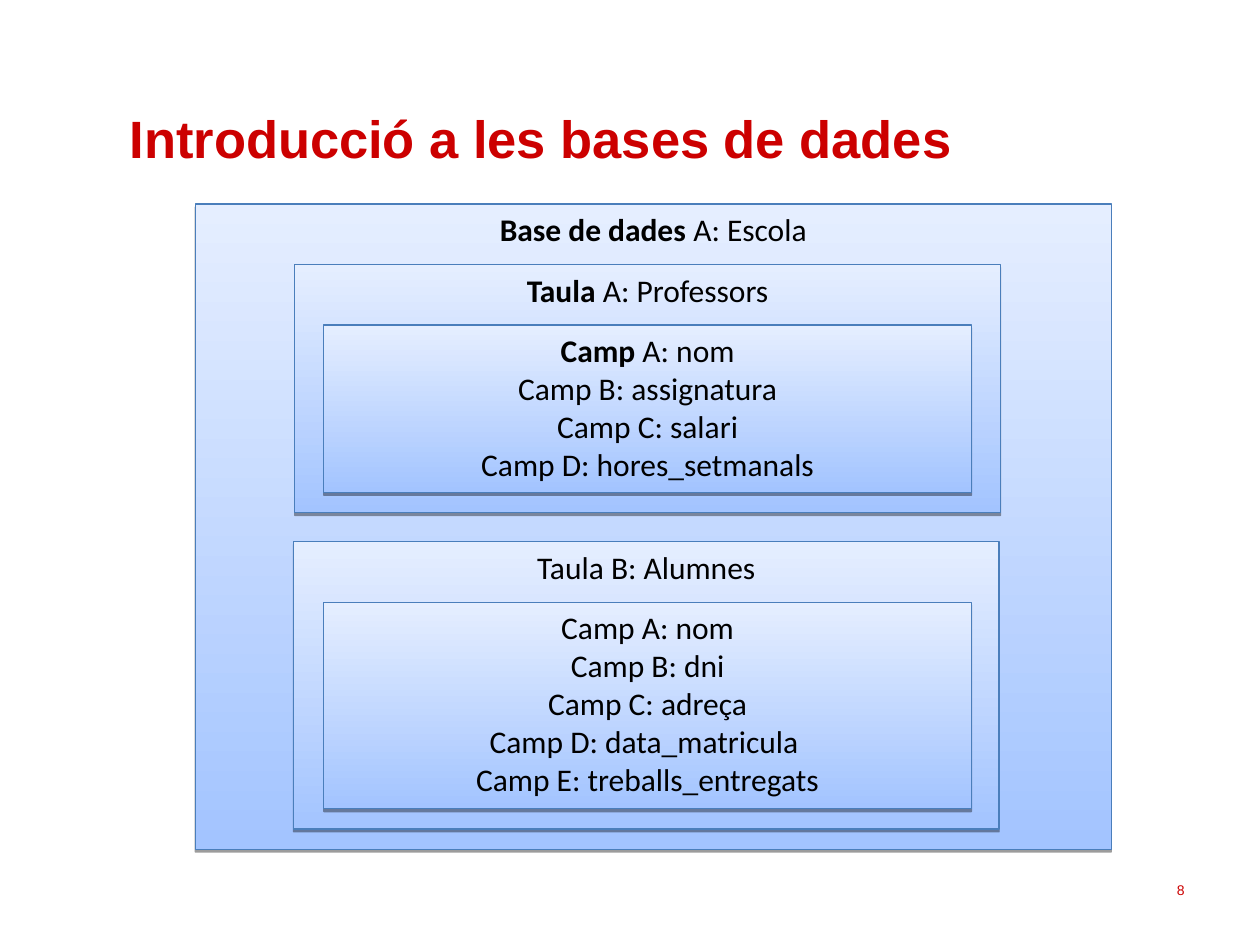
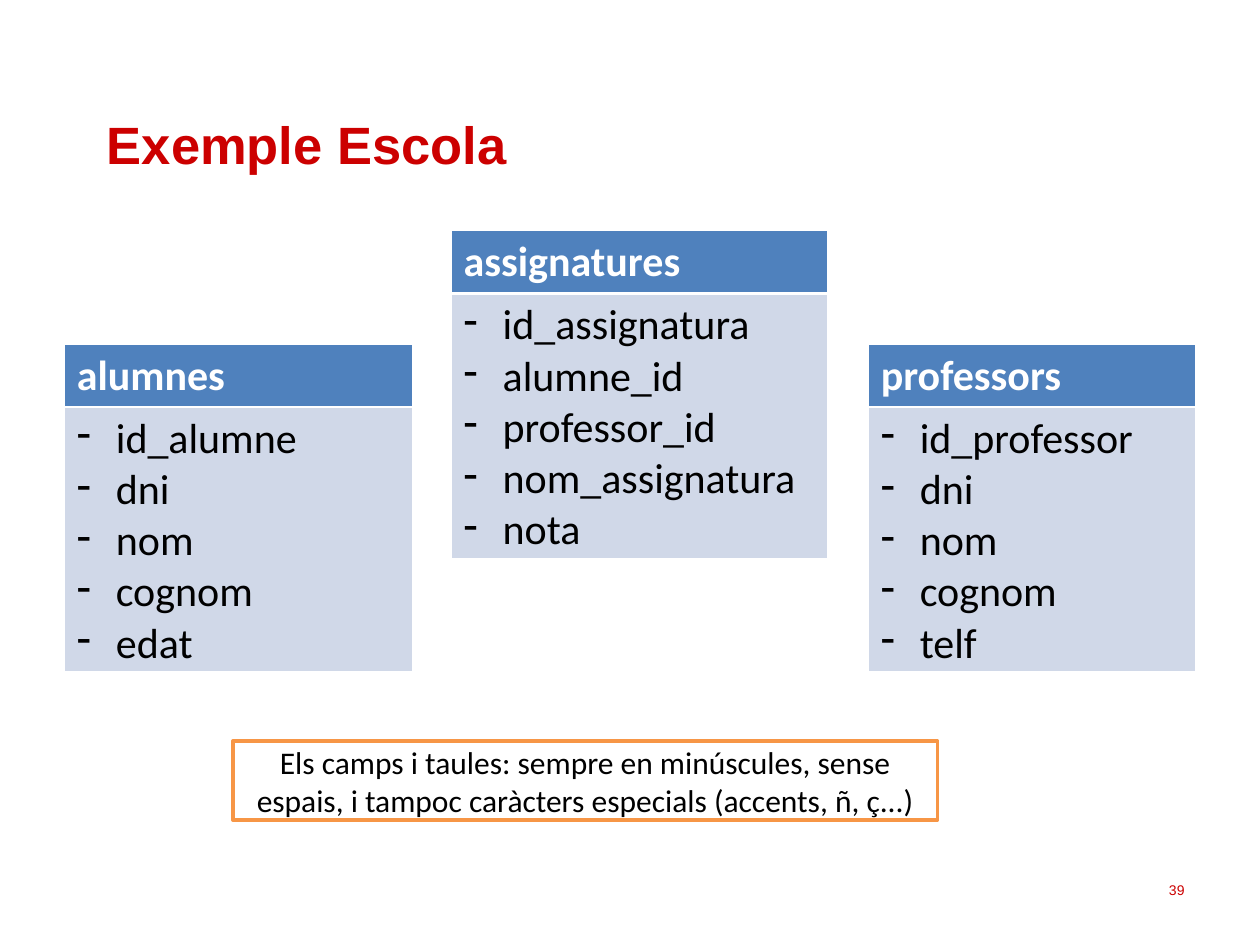
from dataclasses import dataclass

from lxml import etree
from pptx import Presentation
from pptx.dml.color import RGBColor
from pptx.enum.shapes import MSO_SHAPE
from pptx.enum.text import MSO_ANCHOR, PP_ALIGN
from pptx.oxml.ns import qn
from pptx.util import Inches, Pt

RECTANGLE = MSO_SHAPE.RECTANGLE
TOP, MIDDLE = MSO_ANCHOR.TOP, MSO_ANCHOR.MIDDLE
LEFT, CENTER, RIGHT = PP_ALIGN.LEFT, PP_ALIGN.CENTER, PP_ALIGN.RIGHT

RED, BLACK, WHITE = "CC0000", "000000", "FFFFFF"
BOX_BOTTOM, BOX_TOP, BOX_LINE = "A3C4FF", "E5EEFF", "4A7EBB"
HEADER_FILL, BODY_FILL, NOTE_LINE = "4F81BD", "D0D8E8", "F79646"
HEADING_FONT, BODY_FONT = "Arial", "Calibri"
HEADER_HEIGHT, FIELDS_HEIGHT = 0.5, 2.1
THIN, THICK = 0.45, 1.47


@dataclass
class NestedBox:
    """A box of the database diagram; term is the bold start of its first line."""
    left: float
    top: float
    width: float
    height: float
    lines: list[str]
    term: str = ""


@dataclass
class EntityTable:
    name: str
    left: float
    top: float
    width: float
    fields: list[str]


NESTED_BOXES = [
    NestedBox(1.55, 1.62, 7.27, 5.12, ["A: Escola"], "Base de dades "),
    NestedBox(2.34, 2.1, 5.6, 1.97, [" A: Professors"], "Taula"),
    NestedBox(2.57, 2.58, 5.14, 1.33,
              [" A: nom", "Camp B: assignatura", "Camp C: salari",
               "Camp D: hores_setmanals"], "Camp"),
    NestedBox(2.33, 4.3, 5.6, 2.28, ["Taula B: Alumnes"]),
    NestedBox(2.57, 4.78, 5.14, 1.64,
              ["Camp A: nom", "Camp B: dni", "Camp C: adreça",
               "Camp D: data_matricula ", "Camp E: treballs_entregats"]),
]

ENTITY_TABLES = [
    EntityTable("alumnes", 0.51, 2.73, 2.76,
                ["id_alumne", "dni", "nom", "cognom", "edat"]),
    EntityTable("professors", 6.89, 2.73, 2.6,
                ["id_professor", "dni", "nom", "cognom", "telf"]),
    EntityTable("assignatures", 3.58, 1.83, 2.99,
                ["id_assignatura", "alumne_id", "professor_id",
                 "nom_assignatura", "nota"]),
]


def color(code: str) -> RGBColor:
    return RGBColor.from_string(code)


def add_child(parent, tag: str, **attributes: str):
    return etree.SubElement(parent, qn(tag), attributes)


def add_span(para, text: str, *, size: float = 18, font: str = BODY_FONT,
             ink: str = BLACK, bold: bool = False) -> None:
    span = para.add_run()
    span.text = text
    span.font.size = Pt(size)
    span.font.name = font
    span.font.bold = bold
    span.font.color.rgb = color(ink)


def write(frame, lines: list[str], *, align=LEFT, term: str = "",
          bulleted: bool = False, **span_format) -> None:
    """Write one paragraph per line, with an optional bold term first."""
    for index, line in enumerate(lines):
        para = frame.add_paragraph() if index else frame.paragraphs[0]
        para.alignment = align
        if bulleted:
            add_dash(para)
        if term and index == 0:
            add_span(para, term, **{**span_format, "bold": True})
        add_span(para, line, **span_format)


def add_dash(para) -> None:
    properties = para._p.get_or_add_pPr()
    indent = Inches(0.31)
    properties.set("marL", str(indent))
    properties.set("indent", str(-indent))
    bullet_color = add_child(properties, "a:buClr")
    add_child(bullet_color, "a:srgbClr", val=BLACK)
    add_child(properties, "a:buChar", char="-")


def add_text(page, text: str, left: float, top: float, width: float,
             height: float, **text_format) -> None:
    box = page.shapes.add_textbox(Inches(left), Inches(top), Inches(width), Inches(height))
    box.text_frame.word_wrap = True
    write(box.text_frame, [text], font=HEADING_FONT, ink=RED, **text_format)


def add_rectangle(shapes, left: float, top: float, width: float, height: float,
                  *, line: str, weight: float, anchor=TOP):
    box = shapes.add_shape(RECTANGLE, Inches(left), Inches(top), Inches(width), Inches(height))
    box.shadow.inherit = False
    box.line.color.rgb = color(line)
    box.line.width = Pt(weight)
    box.text_frame.word_wrap = True
    box.text_frame.vertical_anchor = anchor
    return box


def add_drop_shadow(box) -> None:
    effects = box._element.spPr.find(qn("a:effectLst"))
    shadow = add_child(effects, "a:outerShdw", blurRad="0", dist=str(Pt(1.6)),
                       dir="5400000", rotWithShape="0")
    shade = add_child(shadow, "a:srgbClr", val=BLACK)
    add_child(shade, "a:alpha", val="38000")


def add_nested_box(shapes, item: NestedBox) -> None:
    box = add_rectangle(shapes, item.left, item.top, item.width, item.height,
                        line=BOX_LINE, weight=0.75)
    box.fill.gradient()
    box.fill.gradient_angle = 90
    for stop, code in zip(box.fill.gradient_stops, (BOX_BOTTOM, BOX_TOP)):
        stop.color.rgb = color(code)
    add_drop_shadow(box)
    write(box.text_frame, item.lines, align=CENTER, term=item.term)


def set_borders(cell, top: float, bottom: float) -> None:
    """Draw white cell borders; they come before the fill in the cell."""
    properties = cell._tc.get_or_add_tcPr()
    weights = {"a:lnL": THIN, "a:lnR": THIN, "a:lnT": top, "a:lnB": bottom}
    for position, (tag, weight) in enumerate(weights.items()):
        border = etree.Element(qn(tag), {"w": str(Pt(weight))})
        add_child(add_child(border, "a:solidFill"), "a:srgbClr", val=WHITE)
        properties.insert(position, border)


def add_entity_table(page, entity: EntityTable) -> None:
    frame = page.shapes.add_table(
        2, 1, Inches(entity.left), Inches(entity.top), Inches(entity.width),
        Inches(HEADER_HEIGHT + FIELDS_HEIGHT))
    table = frame.table
    table.rows[0].height = Inches(HEADER_HEIGHT)
    table.rows[1].height = Inches(FIELDS_HEIGHT)
    header, body = table.cell(0, 0), table.cell(1, 0)
    for cell, code, top, bottom in ((header, HEADER_FILL, THIN, THICK),
                                    (body, BODY_FILL, THICK, THIN)):
        cell.fill.solid()
        cell.fill.fore_color.rgb = color(code)
        set_borders(cell, top, bottom)
    write(header.text_frame, [entity.name], size=24, ink=WHITE, bold=True)
    write(body.text_frame, entity.fields, size=24, bulleted=True)


def add_page(deck, title: str, number: int, left: float, top: float):
    """Add a blank slide with the shared title style and page number."""
    page = deck.slides.add_slide(deck.slide_layouts[6])
    add_text(page, str(number), 7.17, 6.95, 2.33, 0.4, size=8, align=RIGHT)
    add_text(page, title, left, top, 8.51, 0.97, size=30, bold=True)
    return page


def build_database_page(deck) -> None:
    page = add_page(deck, "Introducció a les bases de dades", 8, 0.93, 0.79)
    diagram = page.shapes.add_group_shape()
    for item in NESTED_BOXES:
        add_nested_box(diagram.shapes, item)


def build_school_page(deck) -> None:
    page = add_page(deck, "Exemple Escola", 39, 0.75, 0.84)
    for entity in ENTITY_TABLES:
        add_entity_table(page, entity)
    # Naming rule below the tables
    note = add_rectangle(page.shapes, 1.85, 5.88, 5.59, 0.63,
                         line=NOTE_LINE, weight=2, anchor=MIDDLE)
    note.fill.solid()
    note.fill.fore_color.rgb = color(WHITE)
    write(note.text_frame,
          ["Els camps i taules: sempre en minúscules, sense espais, "
           "i tampoc caràcters especials (accents, ñ, ç...)"], align=CENTER)


def main() -> None:
    deck = Presentation()
    deck.slide_width, deck.slide_height = Inches(10), Inches(7.5)
    build_database_page(deck)
    build_school_page(deck)
    deck.save("out.pptx")


if __name__ == "__main__":
    main()
